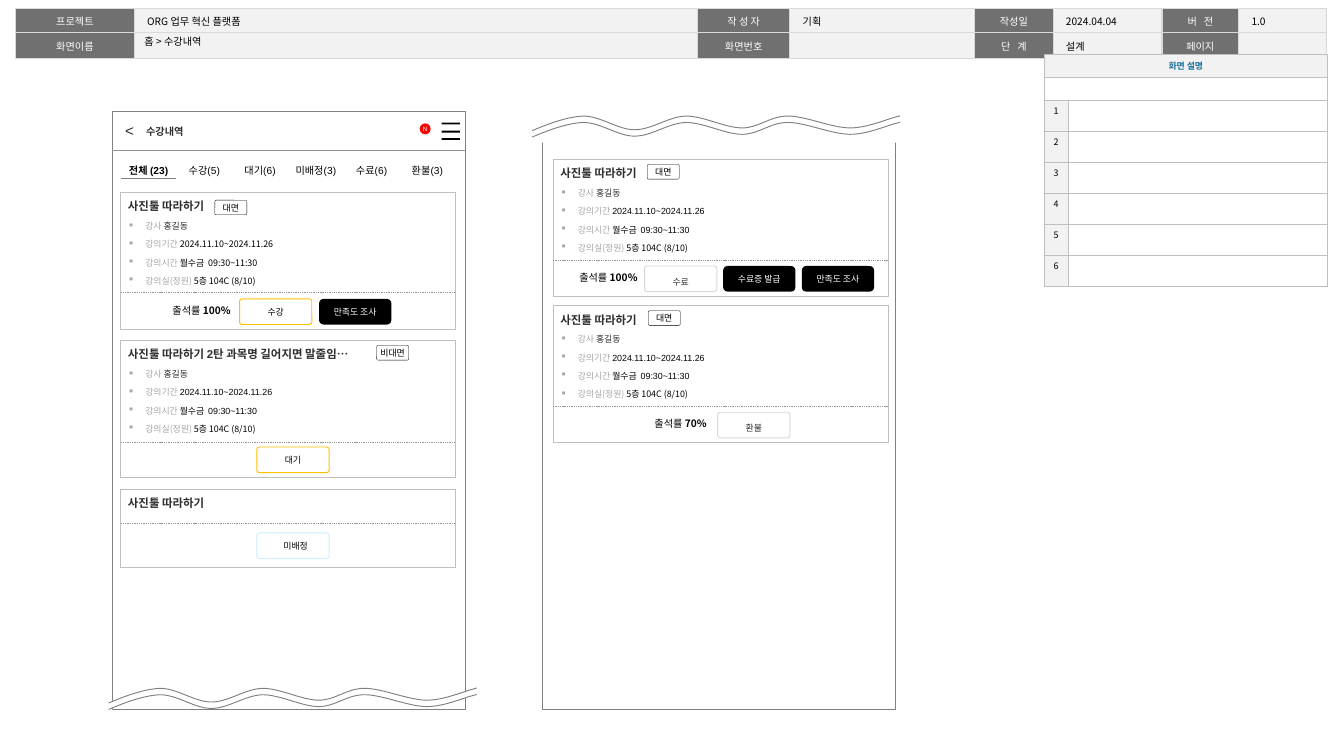
from lxml.etree import SubElement
from pptx import Presentation
from pptx.dml.color import RGBColor
from pptx.enum.dml import MSO_LINE
from pptx.enum.shapes import MSO_CONNECTOR, MSO_SHAPE
from pptx.enum.text import MSO_ANCHOR, MSO_AUTO_SIZE, PP_ALIGN
from pptx.oxml.ns import qn
from pptx.util import Inches, Pt

ARIAL, NOTO = "Arial", "Noto Sans CJK KR"
BLACK, WHITE, INK, MUTED = "000000", "FFFFFF", "2E2E2E", "A6A6A6"
GRAY, PALE, DARK = "808080", "F2F2F2", "707070"
LEFT, CENTER = PP_ALIGN.LEFT, PP_ALIGN.CENTER
TOP, MIDDLE = MSO_ANCHOR.TOP, MSO_ANCHOR.MIDDLE
DEFAULT_INSET, NO_INSET = (0.1, 0.05, 0.1, 0.05), (0, 0, 0, 0)

HEADER = [
    ["프로젝트", "ORG 업무 혁신 플랫폼", "작 성 자", "기획", "작성일", "2024.04.04", "버   전", "1.0"],
    ["화면이름", "", "화면번호", "", "단   계", "설계", "페이지", ""],
]
HEADER_WIDTHS = [1.3, 6.16, 1.01, 2.02, 0.86, 1.19, 0.84, 0.96]
DESCRIPTION = [["화면 설명", ""], ["", ""]] + [[str(n), ""] for n in range(1, 7)]
TABS = ["전체 (23)", "수강(5)", "대기(6)", "미배정(3)", "수료(6)", "환불(3)"]
COURSE_FACTS = [("강사", " 홍길동", INK), ("강의기간 ", "2024.11.10~2024.11.26", BLACK),
                ("강의시간 ", "월수금  09:30~11:30", BLACK), ("강의실(정원) ", "5층 104C (8/10)", BLACK)]

# Button styles: fill, line, text colour, corner, inset, line spacing
BUTTONS = {
    "active": (WHITE, "FFC000", BLACK, 0.1, NO_INSET, None),
    "closed": (WHITE, "D9D9D9", INK, 0.1, (0.04, 0, 0.04, 0), 1.5),
    "open": (WHITE, "CCECFF", BLACK, 0.1, (0.1, 0.05, 0.04, 0.05), None),
    "action": (BLACK, None, WHITE, 0.17, DEFAULT_INSET, None),
}
# Badge: left, drop, text. Rate: left, value. Button: left, text, style.
CARDS = [
    dict(at=(1.32, 2.1), title="사진툴 따라하기", noto_from=1, divider=1.1,
         badge=(2.35, 0.09, "대면"), rate=(1.72, "100%"),
         buttons=[(2.62, "수강", "active"), (3.49, "만족도 조사", "action")]),
    dict(at=(1.32, 3.72), title="사진툴 따라하기 2탄 과목명 길어지면 말줄임…", noto_from=3, divider=1.12,
         badge=(4.12, 0.06, "비대면"), buttons=[(2.81, "대기", "active")]),
    dict(at=(1.32, 5.35), title="사진툴 따라하기", divider=0.37,
         buttons=[(2.81, "미배정", "open")]),
    dict(at=(6.05, 1.74), title="사진툴 따라하기", noto_from=3, divider=1.11,
         badge=(7.08, 0.06, "대면"), rate=(6.17, "100%"),
         buttons=[(7.05, "수료", "closed"), (7.91, "수료증 발급", "action"), (8.77, "만족도 조사", "action")]),
    dict(at=(6.05, 3.34), title="사진툴 따라하기", noto_from=3, divider=1.1,
         badge=(7.09, 0.06, "대면"), rate=(6.96, "70%"), buttons=[(7.85, "환불", "closed")]),
]
# Bezier points of a page-break wave, measured from its left end
WAVE = [(0, 0), (.19, -.08), (.38, -.15), (.56, -.16), (.75, -.16), (.94, -.01), (1.12, -.01),
        (1.31, -.01), (1.48, -.15), (1.68, -.16), (1.88, -.16), (2.11, -.03), (2.3, -.03),
        (2.48, -.03), (2.6, -.16), (2.8, -.16), (2.99, -.16), (3.28, -.03), (3.48, -.03),
        (3.67, -.03), (3.89, -.13), (3.98, -.15), (4.06, -.17), (4, -.16), (4.01, -.16)]
WAVE_STROKES = [(0, WHITE, 4.5), (-0.04, GRAY, 0.75), (0.03, GRAY, 0.75)]

prs = Presentation()
prs.slide_width, prs.slide_height = Inches(14.7), Inches(8.27)
slide = prs.slides.add_slide(prs.slide_layouts[6])
shapes = slide.shapes


def color(hex_text):
    return RGBColor.from_string(hex_text)


def paint(shape, fill, line, width):
    shape.shadow.inherit = False
    if fill:
        shape.fill.solid()
        shape.fill.fore_color.rgb = color(fill)
    else:
        shape.fill.background()
    if line:
        shape.line.color.rgb = color(line)
        shape.line.width = Pt(width)
    else:
        shape.line.fill.background()


def add_box(kind, at, fill=None, line=None, width=0.25, corner=None):
    box = shapes.add_shape(kind, *map(Inches, at))
    paint(box, fill, line, width)
    if corner is not None:
        box.adjustments[0] = corner
    return box


def set_frame(frame, inset=DEFAULT_INSET, anchor=TOP, wrap=True):
    frame.margin_left, frame.margin_top, frame.margin_right, frame.margin_bottom = map(Inches, inset)
    frame.vertical_anchor, frame.word_wrap = anchor, wrap


def add_run(paragraph, text, size, font, hex_text, bold=False):
    run = paragraph.add_run()
    run.text = text
    run.font.size, run.font.bold, run.font.name = Pt(size), bold, font
    run.font.color.rgb = color(hex_text)
    SubElement(run._r.get_or_add_rPr(), qn("a:ea"), typeface=NOTO)


def label(shape, text, size, font, hex_text, inset=NO_INSET, spacing=None):
    set_frame(shape.text_frame, inset, MIDDLE)
    paragraph = shape.text_frame.paragraphs[0]
    paragraph.alignment, paragraph.line_spacing = CENTER, spacing
    add_run(paragraph, text, size, font, hex_text)


def add_text(at, runs, wrap=False, align=LEFT, anchor=TOP, inset=DEFAULT_INSET, grow=True):
    frame = shapes.add_textbox(*map(Inches, at)).text_frame
    set_frame(frame, inset, anchor, wrap)
    frame.auto_size = MSO_AUTO_SIZE.SHAPE_TO_FIT_TEXT if grow else MSO_AUTO_SIZE.NONE
    frame.paragraphs[0].alignment = align
    for run in runs:
        add_run(frame.paragraphs[0], *run)


def add_rule(left, top, length, dashed=False):
    rule = shapes.add_connector(MSO_CONNECTOR.STRAIGHT, *map(Inches, (left, top, left + length, top)))
    rule.line.color.rgb = color("969696")
    rule.line.width = Pt(0.25 if dashed else 0.5)
    if dashed:
        rule.line.dash_style = MSO_LINE.DASH
    SubElement(rule._element.spPr, qn("a:effectLst"))


def add_grid(left, top, widths, heights):
    frame = shapes.add_table(len(heights), len(widths),
                             *map(Inches, (left, top, sum(widths), sum(heights))))
    grid = frame.table
    grid.first_row = grid.horz_banding = False
    grid._tbl.tblPr.find(qn("a:tableStyleId")).text = "{2D5ABB26-0587-4C30-8999-92F81FD0307C}"
    for column, width in zip(grid.columns, widths):
        column.width = Inches(width)
    for row, height in zip(grid.rows, heights):
        row.height = Inches(height)
    return grid


def fill_cell(cell, text, fill, border, sides, inset, align, anchor, style, spacing=None):
    """border is (colour, points); style is (size, font, colour, bold)."""
    for side in sides:
        edge = SubElement(cell._tc.get_or_add_tcPr(), qn("a:ln" + side), w=str(Pt(border[1])))
        SubElement(SubElement(edge, qn("a:solidFill")), qn("a:srgbClr"), val=border[0])
    cell.fill.solid()
    cell.fill.fore_color.rgb = color(fill)
    cell.margin_left, cell.margin_top, cell.margin_right, cell.margin_bottom = map(Inches, inset)
    cell.vertical_anchor = anchor
    paragraph = cell.text_frame.paragraphs[0]
    paragraph.alignment, paragraph.line_spacing = align, spacing
    if text:
        add_run(paragraph, text, *style)
    else:
        SubElement(paragraph._p, qn("a:endParaRPr"), sz=str(style[0] * 100))


def add_wave(left, base):
    for shift, hex_text, width in WAVE_STROKES:
        placed = [(Inches(left + x), Inches(base + shift + y)) for x, y in WAVE]
        builder = shapes.build_freeform(*placed[0])
        builder.add_line_segments(placed[1:], close=False)
        wave = builder.convert_to_shape()
        segments = list(wave._element.iter(qn("a:lnTo")))
        outline = segments[0].getparent()
        for start in range(0, len(segments), 3):
            curve = SubElement(outline, qn("a:cubicBezTo"))
            for segment in segments[start:start + 3]:
                curve.append(segment[0])
                outline.remove(segment)
        paint(wave, None, hex_text, width)


def add_menu_icon(left, tops, width, height):
    builder = None
    for top in tops:
        x, y, right, bottom = map(Inches, (left, top, left + width, top + height))
        if builder is None:
            builder = shapes.build_freeform(x, y)
        else:
            builder.move_to(x, y)
        builder.add_line_segments([(x, bottom), (right, bottom), (right, y)], close=True)
    paint(builder.convert_to_shape(), BLACK, None, 0)


def add_card(at, title, divider, buttons, noto_from=None, badge=None, rate=None):
    left, top = at
    detailed = noto_from is not None
    card = add_box(MSO_SHAPE.RECTANGLE, (left, top, 3.66, 1.5 if detailed else 0.86), WHITE, "BFBFBF")
    frame = card.text_frame
    set_frame(frame, (0.08, 0.08, 0.04, 0.08), wrap=False)
    add_run(frame.paragraphs[0], title, 9, ARIAL, INK, True)
    for index, (name, value, value_color) in enumerate(COURSE_FACTS if detailed else []):
        paragraph = frame.add_paragraph()
        props = paragraph._p.get_or_add_pPr()
        props.set("marL", str(Inches(0.19)))
        props.set("indent", str(Inches(-0.19)))
        SubElement(props, qn("a:buChar"), char="▪")
        font = NOTO if index >= noto_from else ARIAL
        add_run(paragraph, name, 7, font, MUTED)
        add_run(paragraph, value, 7, font, value_color)
    for paragraph in frame.paragraphs:
        paragraph.alignment, paragraph.space_after = LEFT, Pt(6)
    add_rule(left, top + divider, 3.67, dashed=True)
    if badge:
        badge_left, drop, text = badge
        tag = add_box(MSO_SHAPE.ROUNDED_RECTANGLE, (badge_left, top + drop, 0.35, 0.16), WHITE, BLACK, corner=0.1)
        label(tag, text, 7, NOTO, BLACK)
    for button_left, text, style in buttons:
        fill, line, ink, corner, inset, spacing = BUTTONS[style]
        button = add_box(MSO_SHAPE.ROUNDED_RECTANGLE, (button_left, top + (1.17 if detailed else 0.48), 0.79, 0.28),
                         fill, line, 0.75, corner)
        label(button, text, 7, NOTO, ink, inset, spacing)
    if rate:
        add_text((rate[0], top + 1.18, 0.97, 0.24),
                 [("출석률 ", 8, NOTO, BLACK), (rate[1], 8, NOTO, BLACK, True)], wrap=True, align=CENTER)


header = add_grid(0.17, 0.09, HEADER_WIDTHS, [0.27, 0.28])
for r, row in enumerate(HEADER):
    for c, text in enumerate(row):
        fill, ink, align = (PALE, BLACK, LEFT) if c % 2 else (DARK, WHITE, CENTER)
        fill_cell(header.cell(r, c), text, fill, ("D9D9D9", 1), "LRTB", (0.14, 0.05, 0.14, 0.05),
                  align, MIDDLE, (8, NOTO, ink), 1.05)

for phone_left in (1.23, 5.93):
    add_box(MSO_SHAPE.RECTANGLE, (phone_left, 1.22, 3.86, 6.54), None, GRAY, 0.5)
add_wave(1.19, 7.73)
add_box(MSO_SHAPE.RECTANGLE, (5.79, 0.99, 4.27, 0.57), WHITE)
add_wave(5.82, 1.47)

add_rule(1.22, 1.64, 3.87)
notice = add_box(MSO_SHAPE.OVAL, (4.59, 1.35, 0.12, 0.12), "FF0000")
label(notice, "N", 5, ARIAL, WHITE)
notice.text_frame.word_wrap = False
add_text((1.27, 1.28, 0.32, 0.3), [("<", 12, ARIAL, INK)])
add_menu_icon(4.83, (1.34, 1.43, 1.51), 0.2, 0.02)
add_text((1.47, 0.37, 3.85, 0.16), [("홈 > 수강내역", 8, NOTO, BLACK)], wrap=True, anchor=MIDDLE,
         inset=(0.11, 0.05, 0.11, 0.05), grow=False)
add_text((1.5, 1.32, 0.65, 0.24), [("수강내역", 8, ARIAL, INK, True)])

description = add_grid(11.42, 0.59, [0.26, 2.84], [0.25] * 2 + [0.34] * 6)
for r, row in enumerate(DESCRIPTION):
    for c, text in enumerate(row):
        fill = PALE if r == 0 or (c == 0 and r > 1) else WHITE
        style = (7, NOTO, "176F9B", True) if r == 0 else (7, NOTO, BLACK)
        fill_cell(description.cell(r, c), text, fill, ("BFBFBF", 0.25), "LRTB", (0.04, 0.05, 0.04, 0.05),
                  CENTER, TOP if r else MIDDLE, style)
for r in (0, 1):
    description.cell(r, 0).merge(description.cell(r, 1))

tabs = add_grid(1.32, 1.77, [0.61] * len(TABS), [0.18])
for c, text in enumerate(TABS):
    fill_cell(tabs.cell(0, c), text, WHITE, (GRAY, 1), "" if c else "B", NO_INSET,
              CENTER, MIDDLE, (8, ARIAL, BLACK, c == 0))

for course in CARDS:
    add_card(**course)

prs.save("out.pptx")
